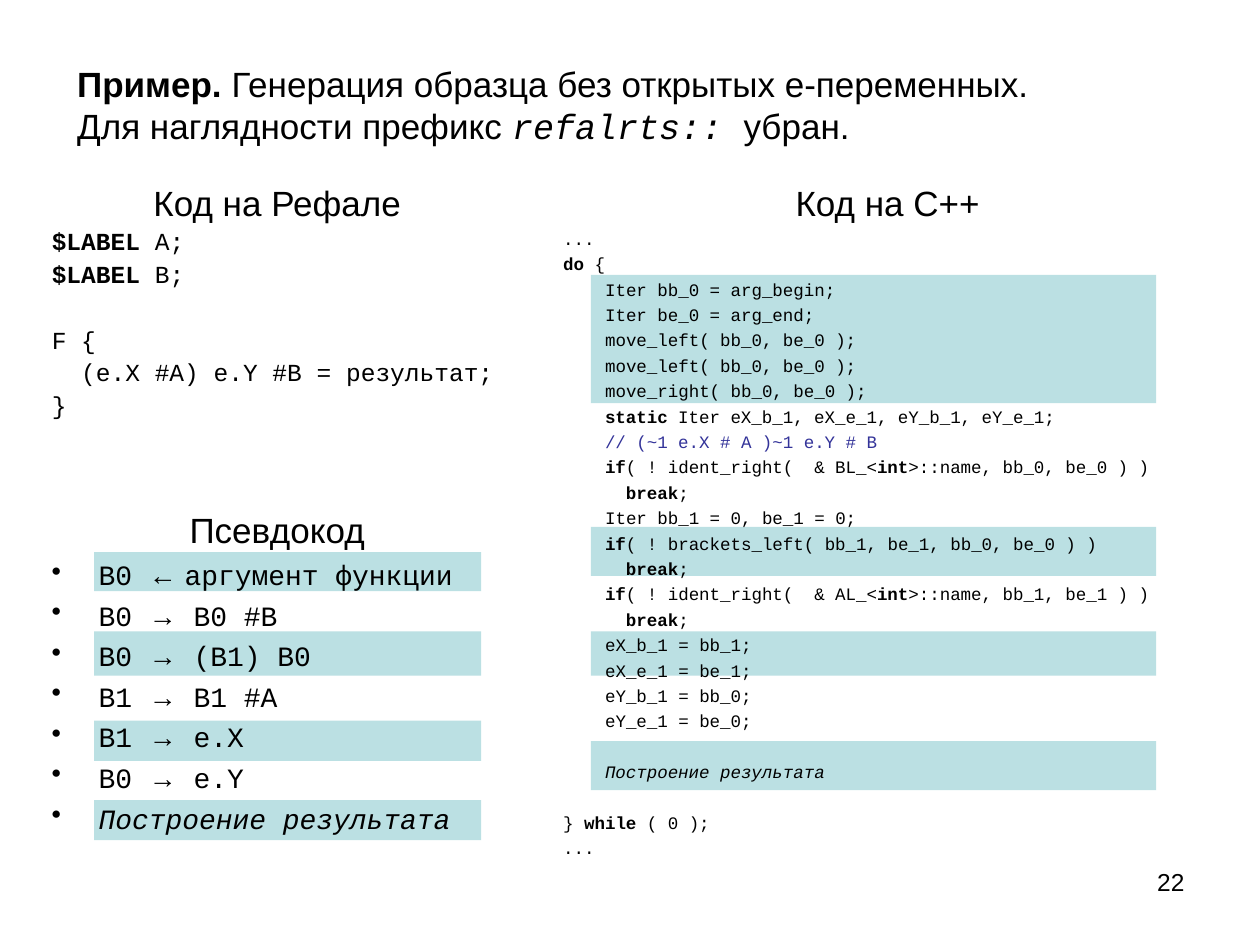
from lxml.etree import SubElement
from pptx import Presentation
from pptx.dml.color import RGBColor
from pptx.enum.shapes import MSO_SHAPE
from pptx.enum.text import MSO_ANCHOR, MSO_AUTO_SIZE, PP_ALIGN
from pptx.oxml.ns import qn
from pptx.util import Cm, Pt

BLACK = RGBColor(0x00, 0x00, 0x00)
BLUE = RGBColor(0x33, 0x33, 0x99)
TEAL = RGBColor(0xBB, 0xE0, 0xE3)
SANS, MONO = "Arial", "Courier New"
HANG = Cm(0.95)

# Content: text between bars takes the "mark" format, bold unless stated
TITLE = [
    ("|Пример. |Генерация образца без открытых e-переменных.", {}),
    ("Для наглядности префикс |refalrts:: |убран.",
     {"mark": {"font": MONO, "italic": True}}),
]
REFAL = [
    ("|$LABEL| A;", {}),
    ("|$LABEL| B;", {}),
    ("F {", {"before": 22.5}),
    ("  (e.X #A) e.Y #B = результат;", {}),
    ("}", {}),
]
ARROW = {"mark": {"font": SANS}}
PSEUDO = [
    ("B0 |← |аргумент функции", ARROW),
    ("B0 |→| B0 #B", ARROW),
    ("B0 |→| (B1) B0", ARROW),
    ("B1 |→| B1 #A", ARROW),
    ("B1 |→| e.X", ARROW),
    ("B0 |→| e.Y", ARROW),
    ("Построение результата", {"italic": True}),
]
CPP = [
    ("...", {}),
    ("|do| {", {}),
    ("    Iter bb_0 = arg_begin;", {}),
    ("    Iter be_0 = arg_end;", {}),
    ("    move_left( bb_0, be_0 );", {}),
    ("    move_left( bb_0, be_0 );", {}),
    ("    move_right( bb_0, be_0 );", {}),
    ("    |static| Iter eX_b_1, eX_e_1, eY_b_1, eY_e_1;", {}),
    ("    |// (~1 e.X # A )~1 e.Y # B", {"mark": {"color": BLUE}}),
    ("    |if|( ! ident_right(  & BL_<|int|>::name, bb_0, be_0 ) )", {}),
    ("      |break|;", {}),
    ("    Iter bb_1 = 0, be_1 = 0;", {}),
    ("    |if|( ! brackets_left( bb_1, be_1, bb_0, be_0 ) )", {}),
    ("      |break|;", {}),
    ("    |if|( ! ident_right(  & AL_<|int|>::name, bb_1, be_1 ) )", {}),
    ("      |break|;", {}),
    ("    eX_b_1 = bb_1;", {}),
    ("    eX_e_1 = be_1;", {}),
    ("    eY_b_1 = bb_0;", {}),
    ("    eY_e_1 = be_0;", {}),
    ("    |Построение результата", {"mark": {"italic": True}, "before": 17}),
    ("} |while| ( 0 );", {"before": 17}),
    ("...", {}),
]
# Highlight bands in cm: column (left, width) with its rows (top, height)
BANDS = {
    (1.9, 7.8): [(11.13, 0.79), (12.73, 0.89), (14.53, 0.81), (16.13, 0.81)],
    (11.91, 11.4): [(5.54, 2.59), (10.62, 0.99), (12.73, 0.89), (14.94, 0.99)],
}


def write(p, text, font=SANS, size=20, color=BLACK, bold=False, italic=False,
          mark=None, align=PP_ALIGN.LEFT, before=0, spacing=1.0,
          hang=False, bullet=False):
    """Fill a paragraph; every second part between bars gets the mark format."""
    p.alignment, p.space_before, p.line_spacing = align, Pt(before), spacing
    base = {"font": font, "color": color, "bold": bold, "italic": italic}
    for i, part in enumerate(text.split("|")):
        if not part:
            continue
        fmt = {**base, **((mark or {"bold": True}) if i % 2 else {})}
        r = p.add_run()
        r.text = part
        r.font.name, r.font.size = fmt["font"], Pt(size)
        r.font.bold, r.font.italic = fmt["bold"], fmt["italic"]
        r.font.color.rgb = fmt["color"]
    if hang:
        pPr = p._p.get_or_add_pPr()
        pPr.set("marL", str(HANG))
        pPr.set("indent", str(-HANG))
        for old in pPr.findall(qn("a:buNone")) + pPr.findall(qn("a:buChar")):
            pPr.remove(old)
        if bullet:
            SubElement(pPr, qn("a:buChar")).set("char", "•")
        else:
            SubElement(pPr, qn("a:buNone"))


def place(sp, left, top, width, height, anchor=MSO_ANCHOR.TOP):
    sp.left, sp.top, sp.width, sp.height = map(Cm, (left, top, width, height))
    tf = sp.text_frame
    tf.word_wrap, tf.auto_size = True, MSO_AUTO_SIZE.NONE
    tf.vertical_anchor = anchor
    return tf


def write_block(tf, heading, lines, **common):
    write(tf.paragraphs[0], heading, align=PP_ALIGN.CENTER, before=5, hang=True)
    for text, fmt in lines:
        write(tf.add_paragraph(), text,
              **{"font": MONO, "hang": True, **common, **fmt})


prs = Presentation()
prs.slide_width, prs.slide_height = Cm(25.4), Cm(19.05)
s = prs.slides.add_slide(prs.slide_layouts[3])
title, refal, cpp = s.placeholders

# Title
tf = place(title, 1.3, 1.12, 22.86, 1.96, MSO_ANCHOR.MIDDLE)
p = tf.paragraphs[0]
for i, (text, fmt) in enumerate(TITLE):
    if i:
        p.add_line_break()
    write(p, text, **fmt)

# Highlight bands
for (left, width), rows in BANDS.items():
    for top, height in rows:
        sp = s.shapes.add_shape(MSO_SHAPE.RECTANGLE, Cm(left), Cm(top),
                                Cm(width), Cm(height))
        sp.fill.solid()
        sp.fill.fore_color.rgb = TEAL
        sp.line.fill.background()
        sp.shadow.inherit = False

# Code columns, the C++ one in front of its bands
cpp.element.getparent().append(cpp.element)
write_block(place(refal, 0.79, 3.53, 9.6, 5.41), "Код на Рефале", REFAL,
            size=14, before=3.5, spacing=0.9)
write_block(place(cpp, 11.1, 3.53, 13.59, 13.89), "Код на C++", CPP,
            size=10, before=2.5)

# Pseudocode
pseudo = s.shapes.add_textbox(0, 0, 0, 0)
write_block(place(pseudo, 0.79, 10.13, 9.6, 6.83), "Псевдокод", PSEUDO,
            size=16, before=4, bullet=True)

# Page number
number = s.shapes.add_textbox(0, 0, 0, 0)
tf = place(number, 18.21, 17.35, 5.92, 1.32)
write(tf.paragraphs[0], "22", size=14, align=PP_ALIGN.RIGHT)

prs.save("out.pptx")
